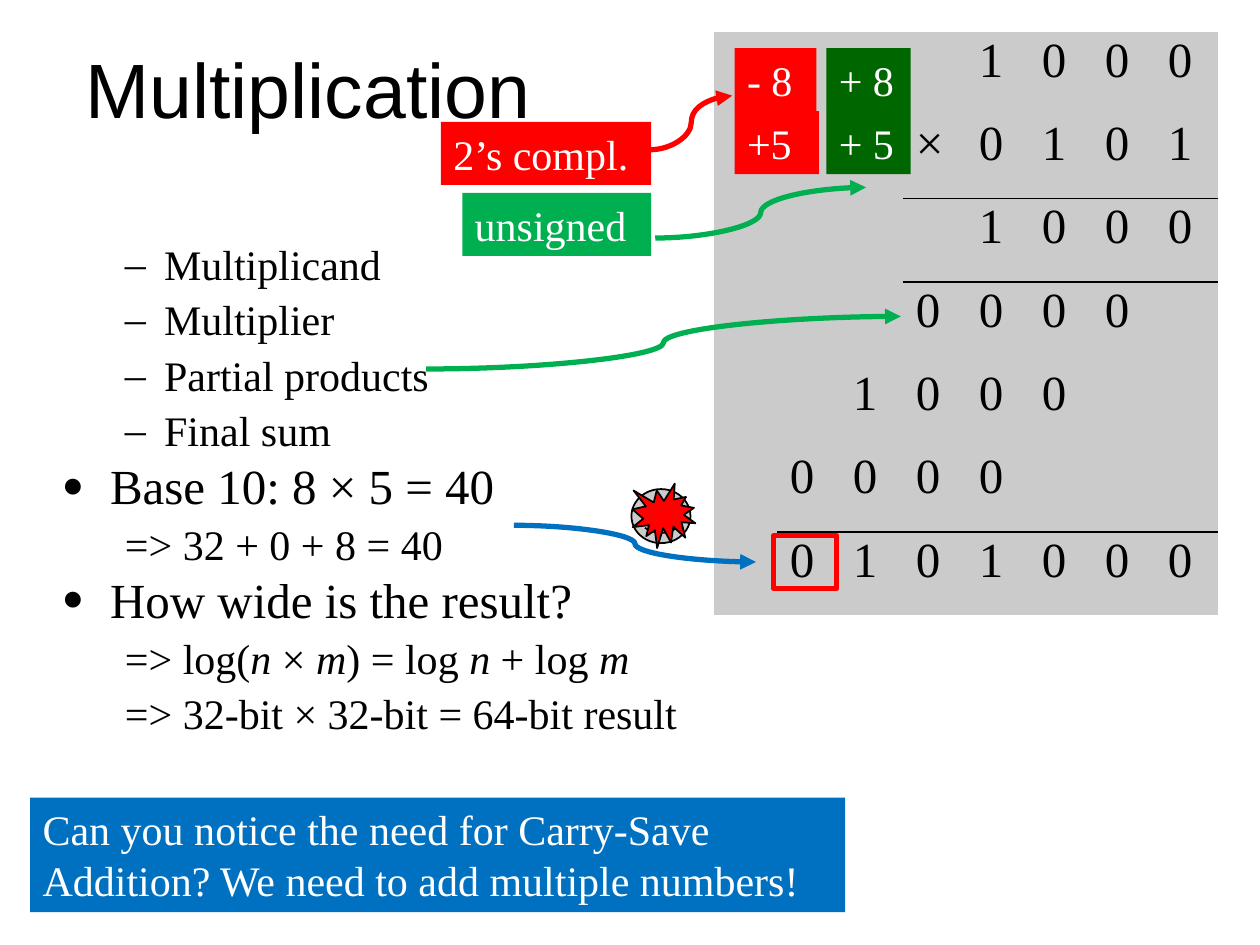
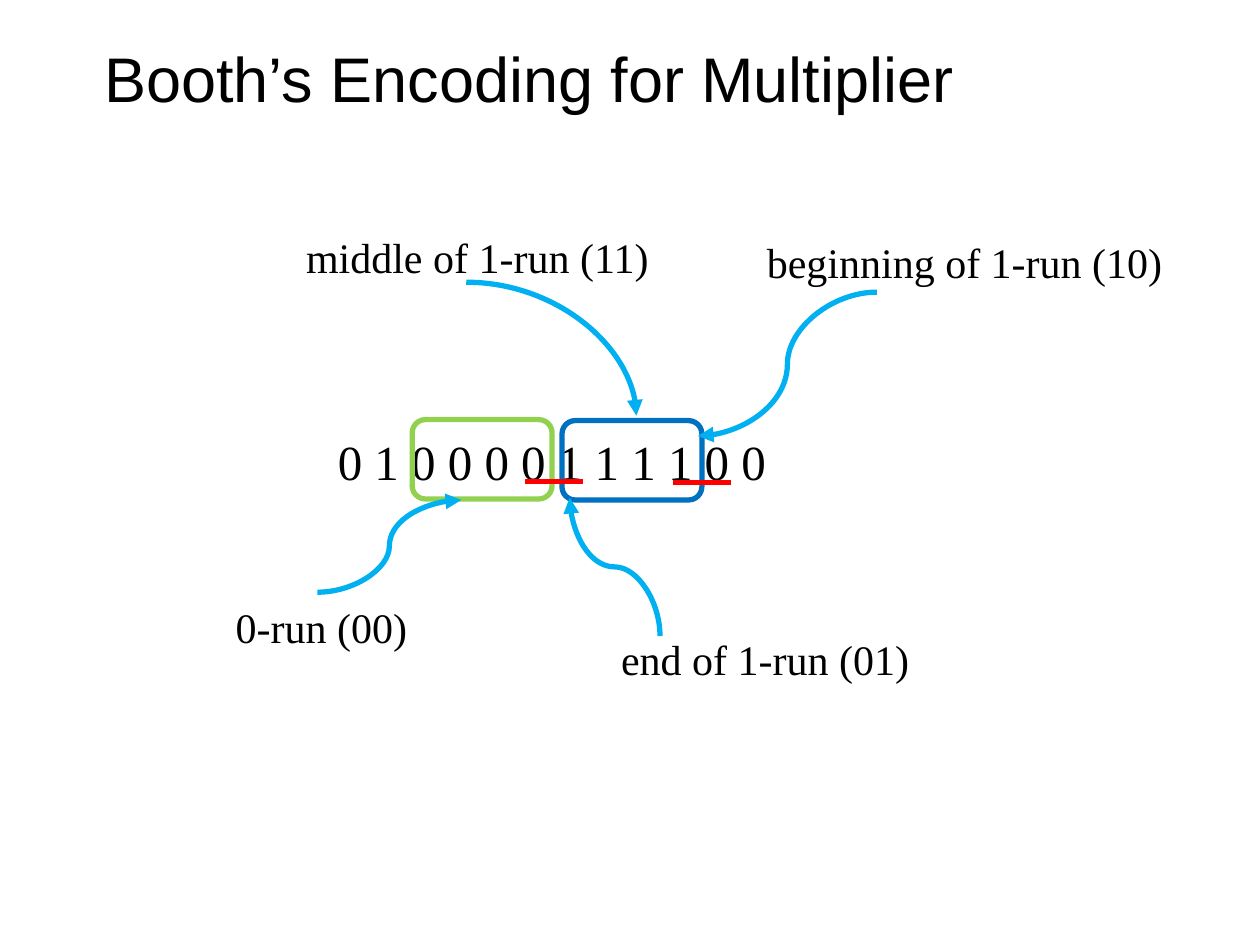
"""Build two lecture slides on binary multiplication and Booth's encoding."""
from dataclasses import dataclass
from typing import Any

from lxml import etree
from pptx import Presentation
from pptx import util as u
from pptx.dml.color import RGBColor
from pptx.enum import shapes, text
from pptx.oxml.ns import qn

Point = tuple[float, float]
Area = tuple[float, float, float, float]


@dataclass(frozen=True)
class Theme:
    black: str = "000000"
    white: str = "FFFFFF"
    gray: str = "CBCBCB"
    red: str = "FF0000"
    dark_green: str = "006600"
    green: str = "00B050"
    lime: str = "92D050"
    blue: str = "0070C0"
    sky: str = "00B0F0"
    heading_font: str = "Arial"
    body_font: str = "Times New Roman"
    title: int = 44
    long_title: int = 36
    large: int = 28
    body: int = 24
    thick: int = 3
    thin: int = 1


THEME = Theme()
SHAPE = shapes.MSO_SHAPE
NO_TABLE_STYLE = "{2D5ABB26-0587-4C30-8999-92F81FD0307C}"


@dataclass(frozen=True)
class Figure:
    area: Area
    fill: str = ""
    line: str = ""
    caption: str = ""
    kind: Any = SHAPE.RECTANGLE
    weight: int = THEME.thick


@dataclass(frozen=True)
class Link:
    start: Point
    end: Point
    color: str
    curved: bool = True
    preset: str = "curvedConnector3"
    turn: int = 0


@dataclass(frozen=True)
class Level:
    left: float = 0
    hang: float = 0
    size: int = THEME.body
    leading: float = 0.9
    before: float = 5.75
    bullet: str = ""
    bullet_scale: int = 100


PLAIN = Level(leading=1, before=0)
DIGITS = Level(size=THEME.large, before=0)
TOPIC = Level(0.97, -0.97, THEME.large, 0.8, 6.4, "●", 75)
DASH = Level(2.06, -0.79, bullet="–")
DETAIL = Level(1.27)

OUTLINE = [
    (DASH, "Multiplicand"),
    (DASH, "Multiplier"),
    (DASH, "Partial products"),
    (DASH, "Final sum"),
    (TOPIC, "Base 10: 8 × 5 = 40"),
    (DETAIL, "=> 32 + 0 + 8 = 40"),
    (TOPIC, "How wide is the result?"),
    (DETAIL, "=> log(*n *× *m*) = log *n* + log *m*"),
    (DETAIL, "=> 32-bit × 32-bit = 64-bit result"),
]

LONG_MULTIPLICATION = [
    "    1000",
    "   ×0101",
    "    1000",
    "   0000 ",
    "  1000  ",
    " 0000   ",
    " 0101000",
]
SUM_RULES = {1: 3, 5: 1}

OPERANDS = [
    Figure((16.66, 0.97, 1.7, 1.27), THEME.dark_green, caption="+ 8"),
    Figure((16.66, 2.24, 1.7, 1.27), THEME.dark_green, caption="+ 5"),
    Figure((14.81, 0.97, 1.65, 1.27), THEME.red, caption="- 8"),
    Figure((14.81, 2.24, 1.7, 1.27), THEME.red, caption="+5"),
    Figure((15.6, 10.8, 1.27, 1.07), line=THEME.red),
    Link((10.36, 10.59), (15.24, 11.33), THEME.blue),
    Figure((9.32, 3.89, 3.81, 1.27), THEME.green, caption="unsigned"),
    Link((13.21, 4.8), (17.46, 3.78), THEME.green),
    Figure((8.89, 2.46, 4.24, 1.27), THEME.red, caption="2’s compl."),
    Link((13.11, 3.02), (14.76, 1.93), THEME.red),
    Link((8.59, 7.44), (18.16, 6.38), THEME.green),
    Figure((12.73, 9.86, 1.19, 1.09), THEME.gray, THEME.black,
           kind=SHAPE.SMILEY_FACE, weight=THEME.thin),
    Figure((12.75, 9.75, 1.27, 1.3), THEME.red, THEME.black,
           kind=SHAPE.EXPLOSION1, weight=THEME.thin),
    Figure((0.61, 16.08, 16.43, 2.31), THEME.blue,
           caption="Can you notice the need for Carry-Save Addition? "
                   "We need to add multiple numbers!"),
]

RUN_LABELS = {
    "beginning of 1-run (10)": (15.21, 4.65, 9.04, 1.27),
    "middle of 1-run (11)": (5.92, 4.55, 7.59, 1.27),
    "end of 1-run (01)": (12.27, 12.65, 7.01, 1.27),
    "0-run (00)": (4.5, 12.01, 4.05, 1.27),
}

RUN_MARKS = [
    Figure((11.33, 8.48, 2.82, 1.6), line=THEME.blue, kind=SHAPE.ROUNDED_RECTANGLE),
    Figure((8.31, 8.46, 2.82, 1.6), line=THEME.lime, kind=SHAPE.ROUNDED_RECTANGLE),
    Link((9.4, 5.69), (12.83, 8.38), THEME.sky, preset="curvedConnector2"),
    Link((17.68, 5.89), (14.07, 8.79), THEME.sky),
    Link((11, 12.34), (13.79, 10.52), THEME.sky, turn=270),
    Link((6.4, 11.94), (9.3, 10.08), THEME.sky),
    Link((10.59, 9.7), (11.76, 9.7), THEME.red, curved=False),
    Link((13.56, 9.73), (14.73, 9.73), THEME.red, curved=False),
]


def cm(values: tuple[float, ...]) -> list[u.Cm]:
    return [u.Cm(value) for value in values]


def rgb(color: str) -> RGBColor:
    return RGBColor.from_string(color)


def apply(target: Any, values: dict[str, Any]) -> None:
    for attribute, value in values.items():
        setattr(target, attribute, value)


def child(parent: Any, tag: str, **attributes: str) -> Any:
    return etree.SubElement(parent, qn(tag), attributes)


def write(paragraph: Any, content: str, level: Level = PLAIN,
          color: str = THEME.black, font: str = THEME.body_font) -> None:
    properties = paragraph._p.get_or_add_pPr()
    properties.set("marL", str(u.Cm(level.left)))
    properties.set("indent", str(u.Cm(level.hang)))
    if level.bullet:
        child(child(properties, "a:buClr"), "a:srgbClr", val=color)
        child(properties, "a:buSzPct", val=str(level.bullet_scale * 1000))
        child(properties, "a:buFont", typeface=font)
        child(properties, "a:buChar", char=level.bullet)
    else:
        child(properties, "a:buNone")
    apply(paragraph, {"alignment": text.PP_ALIGN.LEFT,
                      "line_spacing": level.leading,
                      "space_before": u.Pt(level.before)})
    for position, part in enumerate(content.split("*")):
        run = paragraph.add_run()
        run.text = part
        apply(run.font, {"name": font, "size": u.Pt(level.size),
                         "italic": position % 2 == 1})
        run.font.color.rgb = rgb(color)


def add_text(slide: Any, area: Area, lines: list[tuple[Level, str]],
             side: float = 0.25, font: str = THEME.body_font,
             anchor: Any = text.MSO_ANCHOR.TOP) -> None:
    frame = slide.shapes.add_textbox(*cm(area)).text_frame
    apply(frame, {"word_wrap": True, "vertical_anchor": anchor,
                  "margin_left": u.Cm(side), "margin_right": u.Cm(side)})
    for position, (level, content) in enumerate(lines):
        paragraph = frame.add_paragraph() if position else frame.paragraphs[0]
        write(paragraph, content, level if position else first_line(level), font=font)


def first_line(level: Level) -> Level:
    return Level(level.left, level.hang, level.size, level.leading, 0,
                 level.bullet, level.bullet_scale)


def add_title(slide: Any, content: str, area: Area, size: int) -> None:
    add_text(slide, area, [(Level(size=size, leading=1), content)],
             font=THEME.heading_font, anchor=text.MSO_ANCHOR.MIDDLE)


def add_figure(slide: Any, figure: Figure) -> None:
    shape = slide.shapes.add_shape(figure.kind, *cm(figure.area))
    shape.shadow.inherit = False
    if figure.fill:
        shape.fill.solid()
        shape.fill.fore_color.rgb = rgb(figure.fill)
    else:
        shape.fill.background()
    if figure.line:
        shape.line.color.rgb = rgb(figure.line)
        shape.line.width = u.Pt(figure.weight)
    else:
        shape.line.fill.background()
    if figure.caption:
        apply(shape.text_frame, {"word_wrap": True,
                                 "vertical_anchor": text.MSO_ANCHOR.TOP})
        write(shape.text_frame.paragraphs[0], figure.caption, color=THEME.white)


def add_link(slide: Any, link: Link) -> None:
    kind = shapes.MSO_CONNECTOR.CURVE if link.curved else shapes.MSO_CONNECTOR.STRAIGHT
    connector = slide.shapes.add_connector(kind, *cm(link.start + link.end))
    connector.line.color.rgb = rgb(link.color)
    connector.line.width = u.Pt(THEME.thick)
    properties = connector._element.spPr
    if link.curved:
        properties.find(qn("a:prstGeom")).set("prst", link.preset)
        child(properties.find(qn("a:ln")), "a:tailEnd", type="triangle")
    if link.turn:
        properties.find(qn("a:xfrm")).set("rot", str(link.turn * 60000))
    child(properties, "a:effectLst")


def add_marks(slide: Any, marks: list[Figure | Link]) -> None:
    for mark in marks:
        if isinstance(mark, Figure):
            add_figure(slide, mark)
        else:
            add_link(slide, mark)


def rule_cell(cell: Any, edge: str) -> None:
    border = etree.Element(qn(edge), w=str(u.Pt(THEME.thin)))
    child(child(border, "a:solidFill"), "a:srgbClr", val=THEME.black)
    cell._tc.get_or_add_tcPr().insert(0, border)


def add_multiplication(slide: Any) -> None:
    rows, columns = len(LONG_MULTIPLICATION), len(LONG_MULTIPLICATION[0])
    area = cm((14.4, 0.64, 1.27 * columns, 1.68 * rows))
    table = slide.shapes.add_table(rows, columns, *area).table
    apply(table, {"first_row": False, "horz_banding": False})
    table._tbl.tblPr.find(qn("a:tableStyleId")).text = NO_TABLE_STYLE
    for row, symbols in enumerate(LONG_MULTIPLICATION):
        for column, symbol in enumerate(symbols):
            cell = table.cell(row, column)
            cell.fill.solid()
            cell.fill.fore_color.rgb = rgb(THEME.gray)
            if symbol.strip():
                write(cell.text_frame.paragraphs[0], symbol, DIGITS)
            if column >= SUM_RULES.get(row, columns):
                rule_cell(cell, "a:lnB")
            if column >= SUM_RULES.get(row - 1, columns):
                rule_cell(cell, "a:lnT")


def build_multiplication(slide: Any) -> None:
    add_title(slide, "Multiplication", (1.47, 0.18, 22.45, 3.18), THEME.title)
    add_text(slide, (0.74, 4.8, 13.67, 9.98), OUTLINE, side=0.51)
    add_multiplication(slide)
    add_marks(slide, OPERANDS)


def build_booth(slide: Any) -> None:
    add_title(slide, "Booth’s Encoding for Multiplier",
              (1.85, 0.33, 22.45, 2.44), THEME.long_title)
    add_text(slide, (6.3, 8.71, 10.39, 1.8),
             [(DIGITS, "0 1 0 0 0 0 1 1 1 1 0 0")], side=0.51)
    for label, area in RUN_LABELS.items():
        add_text(slide, area, [(PLAIN, label)])
    add_marks(slide, RUN_MARKS)


def main() -> None:
    deck = Presentation()
    apply(deck, {"slide_width": u.Cm(25.4), "slide_height": u.Cm(19.05)})
    for build in (build_multiplication, build_booth):
        build(deck.slides.add_slide(deck.slide_layouts[6]))
    deck.save("out.pptx")


if __name__ == "__main__":
    main()
